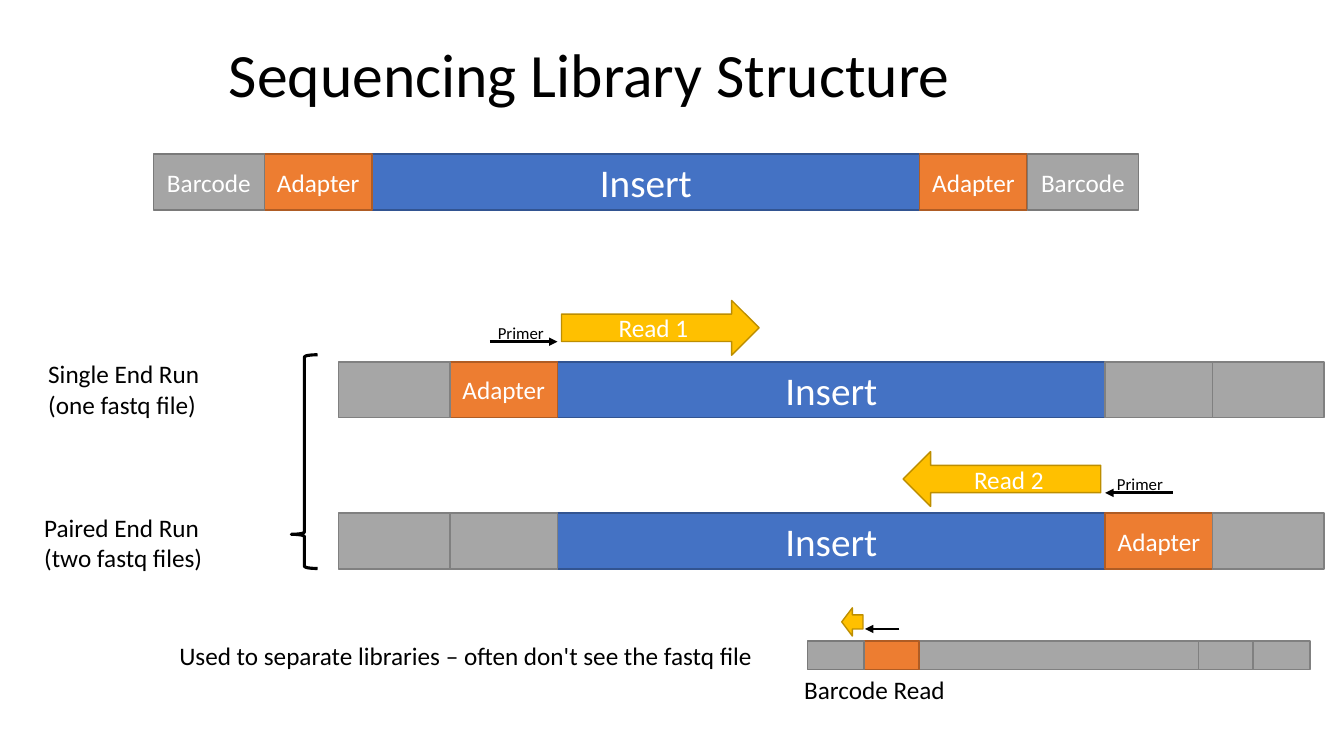
from itertools import accumulate

from lxml.etree import SubElement
from pptx import Presentation
from pptx.dml.color import RGBColor
from pptx.enum.shapes import MSO_CONNECTOR as CONN, MSO_SHAPE as SHAPE
from pptx.enum.text import MSO_ANCHOR as ANCHOR, MSO_AUTO_SIZE as AUTO, PP_ALIGN as ALIGN
from pptx.oxml.ns import qn
from pptx.util import Inches, Pt

COLORS = {"text": "000000", "light": "FFFFFF",
          "insert": "4472C4", "insert_line": "325491",
          "adapter": "ED7D31", "adapter_line": "AF5C24",
          "barcode": "A5A5A5", "barcode_line": "7A7A7A",
          "idle": "A6A6A6", "idle_line": "808080",
          "read": "FFC000", "read_line": "BD8E00"}

# Strand geometry, in percent of the slide's width and height
BARCODE_W, ADAPTER_W, INSERT_W = 8.28, 8, 40.75
PART_WIDTHS = [BARCODE_W, ADAPTER_W, INSERT_W, ADAPTER_W, BARCODE_W]
STRAND_H = 7.38
DRAW_ORDER = (2, 1, 0, 3, 4)  # insert at the back, ends in front
READ_W, READ_H = 14.7, 7.25
PRIMER_W = 5.03


class Diagram:
    """Style and current slide; all lengths are percent of the slide."""
    font = "Calibri"

    def __init__(self, prs):
        self.w, self.h = prs.slide_width, prs.slide_height
        self.slide = prs.slides.add_slide(prs.slide_layouts[5])
        self.shapes = self.slide.shapes

    def x(self, share):
        return round(self.w * share / 100)

    def y(self, share):
        return round(self.h * share / 100)

    def box(self, x, y, w, h):
        return self.x(x), self.y(y), self.x(w), self.y(h)

    def color(self, name):
        return RGBColor.from_string(COLORS[name])

    def group(self):
        self.shapes = self.slide.shapes.add_group_shape().shapes

    def ungroup(self):
        self.shapes = self.slide.shapes

    def set_text(self, tf, text, size, color, align):
        tf.text = text
        for p in tf.paragraphs:
            p.alignment = align
            p.font.name, p.font.size = self.font, Pt(size)
            p.font.color.rgb = self.color(color)

    def title(self, text, *box):
        sp = self.slide.shapes.title
        sp.left, sp.top, sp.width, sp.height = self.box(*box)
        tf = sp.text_frame
        tf.vertical_anchor = ANCHOR.MIDDLE
        self.set_text(tf, text, 44, "text", ALIGN.LEFT)
        tf.paragraphs[0].line_spacing = 0.9

    def label(self, text, *box, size=18):
        tf = self.shapes.add_textbox(*self.box(*box)).text_frame
        tf.word_wrap, tf.auto_size = False, AUTO.SHAPE_TO_FIT_TEXT
        self.set_text(tf, text, size, "text", ALIGN.LEFT)

    def block(self, kind, role, *box, text="", size=18):
        sp = self.shapes.add_shape(kind, *self.box(*box))
        sp.shadow.inherit = False
        sp.fill.solid()
        sp.fill.fore_color.rgb = self.color(role)
        sp.line.color.rgb = self.color(role + "_line")
        sp.line.width = Pt(1)
        if text:
            sp.text_frame.vertical_anchor = ANCHOR.MIDDLE
            self.set_text(sp.text_frame, text, size, "light", ALIGN.CENTER)

    def strand(self, x, y, roles, labels, scale=1):
        widths = [w * scale for w in PART_WIDTHS]
        lefts = list(accumulate(widths, initial=x))
        for i in DRAW_ORDER:
            self.block(SHAPE.RECTANGLE, roles[i], lefts[i], y, widths[i], STRAND_H * scale,
                       text=labels[i], size=28 if roles[i] == "insert" else 18)

    def arrow(self, x1, x2, y):
        cx = self.shapes.add_connector(CONN.STRAIGHT, self.x(x1), self.y(y), self.x(x2), self.y(y))
        cx.line.color.rgb = self.color("text")
        cx.line.width = Pt(2)
        props = cx.element.spPr
        SubElement(props.find(qn("a:ln")), qn("a:tailEnd"), type="triangle")
        SubElement(props, qn("a:effectLst"))

    def brace(self, *box):
        sp = self.shapes.add_shape(SHAPE.LEFT_BRACE, *self.box(*box))
        sp.shadow.inherit = False
        sp.fill.background()
        sp.line.color.rgb = self.color("text")
        sp.line.width = Pt(2.25)
        sp.adjustments[0], sp.adjustments[1] = 0.08, 0.84


def main():
    prs = Presentation()
    prs.slide_width, prs.slide_height = Inches(13.33), Inches(7.5)
    d = Diagram(prs)
    d.title("Sequencing Library Structure", 16.28, 1.87, 67.5, 16.67)

    # Full library
    d.group()
    d.strand(11.4, 20.4, ["barcode", "adapter", "insert", "adapter", "barcode"],
             ["Barcode", "Adapter", "Insert", "Adapter", "Barcode"])

    # Read 1 and Read 2: strand, primer and read arrow
    left = 25.2
    insert_left = left + BARCODE_W + ADAPTER_W
    insert_right = insert_left + INSERT_W
    runs = [
        (47.87, ["idle", "adapter", "insert", "idle", "idle"], ["", "Adapter", "Insert", "", ""],
         insert_left - PRIMER_W, insert_left, 36.3, SHAPE.RIGHT_ARROW, 41.78, "Read 1"),
        (67.87, ["idle", "idle", "insert", "adapter", "idle"], ["", "", "Insert", "Adapter", ""],
         insert_right + PRIMER_W, insert_right, 82.37, SHAPE.LEFT_ARROW, 67.2, "Read 2"),
    ]
    for top, roles, labels, start, end, primer_x, kind, read_x, read in runs:
        d.group()
        d.strand(left, top, roles, labels)
        d.arrow(start, end, top - 2.67)
        d.label("Primer", primer_x, top - 5.87, 4.95, 4, size=12)
        d.block(kind, "read", read_x, top - 8.13, READ_W, READ_H, text=read)

    # Barcode read
    d.group()
    d.strand(60.08, 84.8, ["barcode", "adapter", "idle", "idle", "idle"], [""] * 5, scale=0.51)
    d.arrow(66.92, 64.36, 83.2)
    d.block(SHAPE.LEFT_ARROW, "read", 62.63, 80.4, 1.58, 3.73)
    d.label("Barcode Read", 59.1, 88.53, 12.53, 5.33)

    # Run descriptions
    d.ungroup()
    d.label("Single End Run\n(one fastq file)", 2.85, 46.8, 12.9, 9.47)
    d.group()
    d.brace(21.68, 46.93, 1.95, 28.27)
    d.label("Paired End Run\n(two fastq files)", 2.55, 67.07, 13.43, 9.47)
    d.ungroup()
    d.label("Used to separate libraries – often don't see the fastq file", 12.6, 84, 44.7, 5.33)

    prs.save("out.pptx")


if __name__ == "__main__":
    main()
